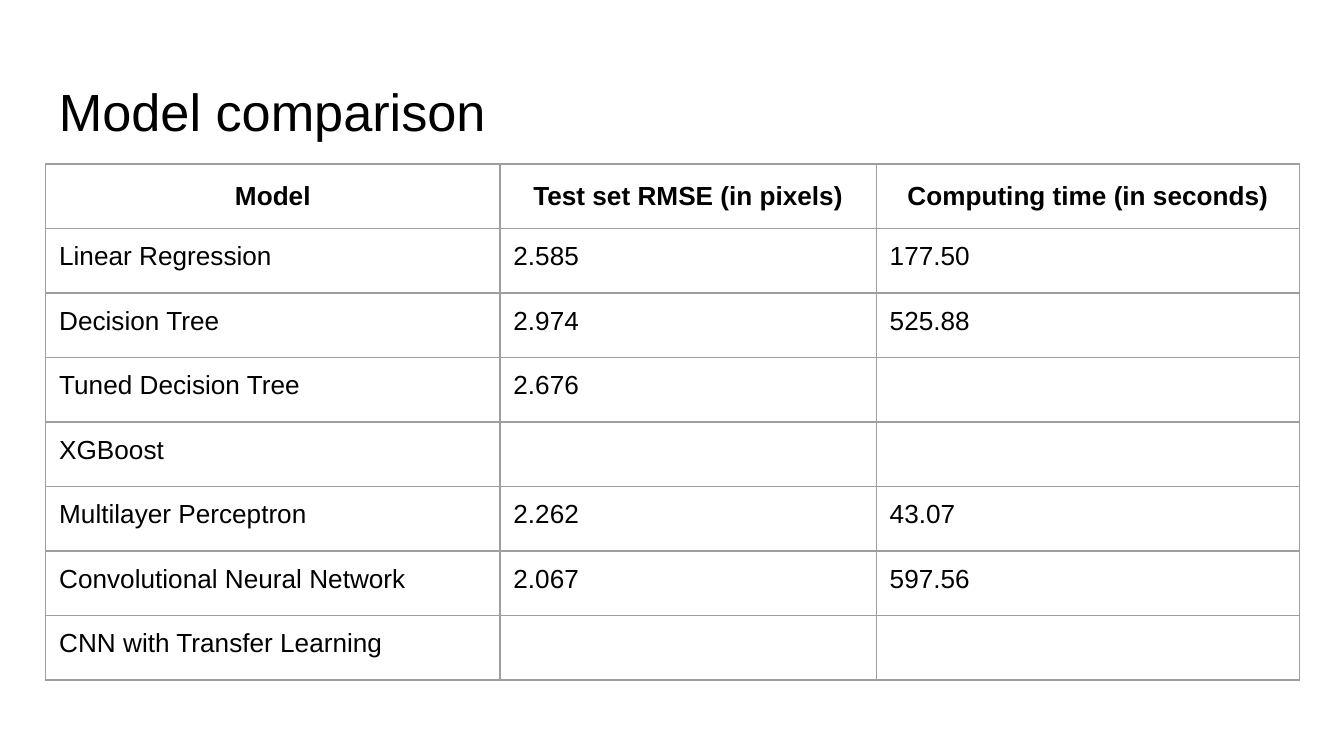
from dataclasses import dataclass
from typing import NamedTuple

from lxml.etree import SubElement
from pptx import Presentation
from pptx.dml.color import RGBColor as RGB
from pptx.enum.text import MSO_ANCHOR as ANCHOR, PP_ALIGN as ALIGN
from pptx.oxml.ns import qn
from pptx.util import Inches, Pt


@dataclass(frozen=True)
class Theme:
    font: str = "Arial"
    ink: RGB = RGB(0, 0, 0)
    paper: RGB = RGB(255, 255, 255)
    border: str = "9E9E9E"
    border_width: float = 0.75
    title_size: int = 28
    table_size: int = 14
    inset: float = 0.1


class Result(NamedTuple):
    model: str
    rmse: str = ""
    seconds: str = ""


THEME = Theme()
WIDTH = 10
HEIGHT = WIDTH * 9 / 16
MARGIN = 0.034 * WIDTH
COLUMNS = (3.38, 2.8, 3.15)
ROW = 0.48

HEADER = Result("Model", "Test set RMSE (in pixels)", "Computing time (in seconds)")
RESULTS = [
    Result("Linear Regression", "2.585", "177.50"),
    Result("Decision Tree", "2.974", "525.88"),
    Result("Tuned Decision Tree", "2.676"),
    Result("XGBoost"),
    Result("Multilayer Perceptron", "2.262", "43.07"),
    Result("Convolutional Neural Network", "2.067", "597.56"),
    Result("CNN with Transfer Learning"),
]


def style(p, size: int, bold: bool = False) -> None:
    p.font.name, p.font.size, p.font.bold = THEME.font, Pt(size), bold
    p.font.color.rgb = THEME.ink


def set_insets(box) -> None:
    """Give a cell or text frame the same inset on every side."""
    for side in ("left", "top", "right", "bottom"):
        setattr(box, f"margin_{side}", Inches(THEME.inset))


def add_borders(cell) -> None:
    tc_pr = cell._tc.get_or_add_tcPr()
    for i, side in enumerate(("lnL", "lnR", "lnT", "lnB")):
        line = SubElement(tc_pr, qn(f"a:{side}"), w=str(Pt(THEME.border_width)))
        fill = SubElement(line, qn("a:solidFill"))
        SubElement(fill, qn("a:srgbClr"), val=THEME.border)
        tc_pr.insert(i, line)  # borders come before the fill


def fill_cell(cell, text: str, header: bool) -> None:
    set_insets(cell)
    cell.fill.background()
    add_borders(cell)
    p = cell.text_frame.paragraphs[0]
    p.text = text
    style(p, THEME.table_size, header)
    if header:
        cell.vertical_anchor = ANCHOR.MIDDLE
        p.alignment = ALIGN.CENTER


def add_title(s, text: str) -> None:
    sp = s.shapes.add_textbox(Inches(MARGIN), Inches(0.49),
                              Inches(WIDTH - 2 * MARGIN), Inches(0.63))
    tf = sp.text_frame
    tf.word_wrap = True
    set_insets(tf)
    p = tf.paragraphs[0]
    p.text = text
    style(p, THEME.title_size)


def add_results(s, rows: list[Result]) -> None:
    table = s.shapes.add_table(len(rows), len(COLUMNS), Inches(MARGIN), Inches(1.22),
                               Inches(sum(COLUMNS)), Inches(ROW * len(rows))).table
    table.first_row = table.horz_banding = False
    for column, width in zip(table.columns, COLUMNS):
        column.width = Inches(width)
    for r, result in enumerate(rows):
        for c, text in enumerate(result):
            fill_cell(table.cell(r, c), text, header=r == 0)


def main() -> None:
    prs = Presentation()
    prs.slide_width, prs.slide_height = Inches(WIDTH), Inches(HEIGHT)
    s = prs.slides.add_slide(prs.slide_layouts[6])
    s.background.fill.solid()
    s.background.fill.fore_color.rgb = THEME.paper

    # Heading
    add_title(s, "Model comparison")

    # Results table
    add_results(s, [HEADER, *RESULTS])
    prs.save("out.pptx")


if __name__ == "__main__":
    main()
